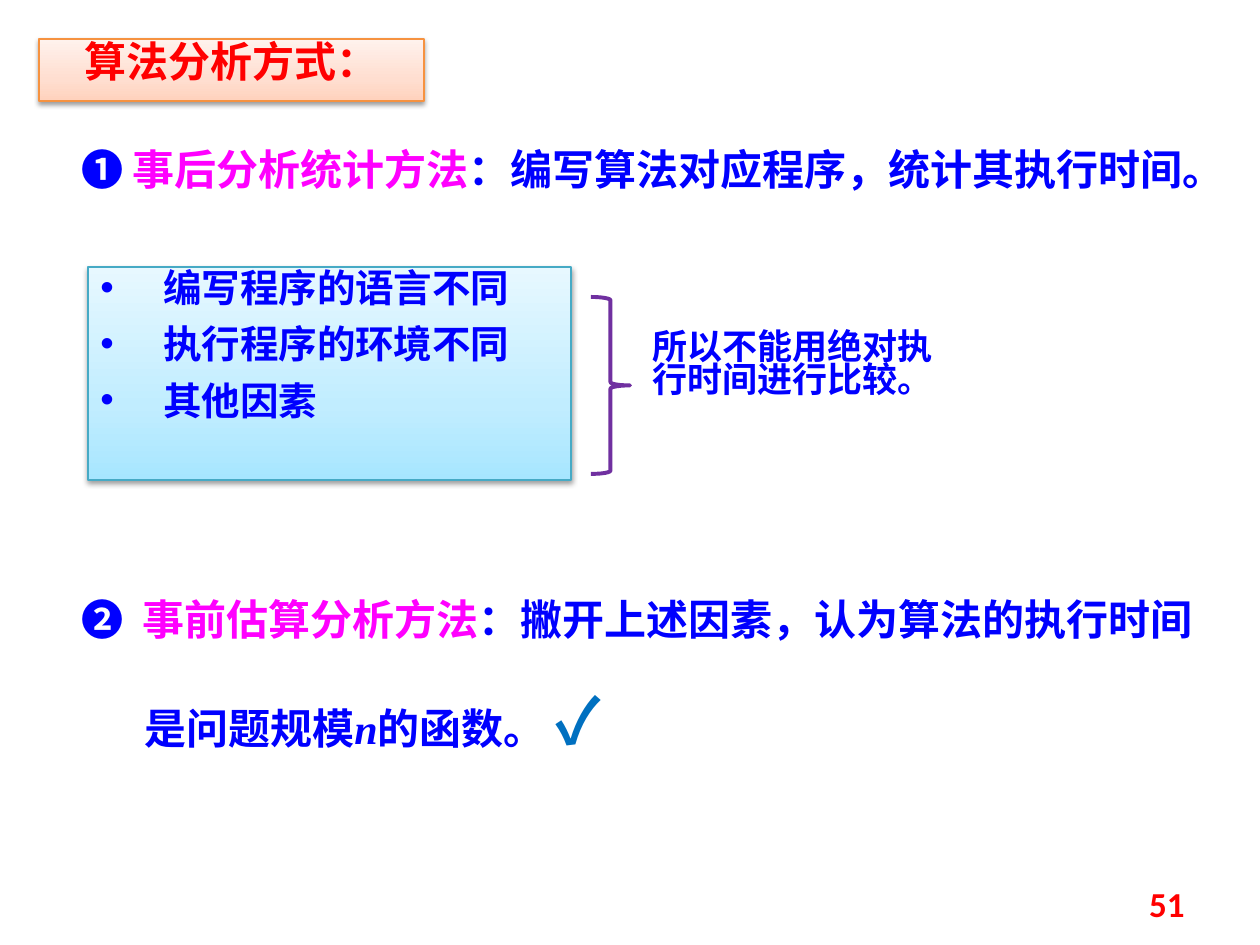
import lxml.etree
import pptx
import pptx.dml.color
import pptx.enum.shapes
import pptx.enum.text
import pptx.oxml
import pptx.oxml.ns
import pptx.util

PX = 914400 / 126
COLORS = {"red": "FF0000", "blue": "0000FF", "magenta": "FF00FF", "check": "0070C0",
          "brace": "7030A0", "orange line": "F69240", "cyan line": "46AAC5", "shadow": "000000"}
ORANGE_STOPS = ((0, "FFD2BD"), (35, "FFDED0"), (100, "FFF2ED"))
CYAN_STOPS = ((0, "A7E6FF"), (35, "C1EDFF"), (100, "E7F8FF"))
CJK = "Noto Sans CJK SC"
SERIF = "Times New Roman"
SANS = "Calibri"
ALIGN = pptx.enum.text.PP_ALIGN
SHAPE = pptx.enum.shapes.MSO_SHAPE
qn = pptx.oxml.ns.qn


def box(*lengths):
    return [pptx.util.Emu(round(v * PX)) for v in lengths]


def rgb(name):
    return pptx.dml.color.RGBColor.from_string(COLORS[name])


def add_run(p, text, size, color, font=SERIF, italic=False, bold=True):
    r = p.add_run()
    r.text = text
    r.font.size = pptx.util.Pt(size)
    r.font.bold = bold
    r.font.italic = italic
    r.font.name = font
    r.font.color.rgb = rgb(color)
    ea = lxml.etree.Element(qn("a:ea"), typeface=CJK)
    r.font._element.find(qn("a:latin")).addnext(ea)


def indent(p, bullet=None):
    """Hang the first line by half an inch, with an optional bullet."""
    pPr = p._p.get_or_add_pPr()
    hang = pptx.util.Inches(0.5)
    pPr.set("marL", str(hang))
    pPr.set("indent", str(-hang))
    if bullet:
        lxml.etree.SubElement(pPr, qn("a:buFont"), typeface="Arial")
        lxml.etree.SubElement(pPr, qn("a:buChar"), char=bullet)


def add_text(s, place, runs, spacing=0.8, align=ALIGN.LEFT):
    """Add a text box with one paragraph and return the paragraph."""
    tf = s.shapes.add_textbox(*box(*place)).text_frame
    tf.word_wrap = True
    p = tf.paragraphs[0]
    p.line_spacing = spacing
    p.alignment = align
    for run in runs:
        add_run(p, *run)
    return p


def add_panel(s, place, stops, line):
    """Add a rectangle with an upward gradient and a soft shadow; return its text frame."""
    sp = s.shapes.add_shape(SHAPE.RECTANGLE, *box(*place))
    sp.shadow.inherit = False
    sp.fill.gradient()
    sp.fill.gradient_angle = 90
    stop_list = sp._element.spPr.find(".//" + qn("a:gsLst"))
    stop_list.clear()
    for position, color in stops:
        gs = lxml.etree.SubElement(stop_list, qn("a:gs"), pos=str(position * 1000))
        lxml.etree.SubElement(gs, qn("a:srgbClr"), val=color)
    sp.line.color.rgb = rgb(line)
    sp.line.width = pptx.util.Pt(0.75)
    effects = sp._element.spPr.find(qn("a:effectLst"))
    shadow = lxml.etree.SubElement(
        effects, qn("a:outerShdw"), blurRad=str(pptx.util.Pt(3.1)),
        dist=str(pptx.util.Pt(1.6)), dir="5400000", rotWithShape="0")
    clr = lxml.etree.SubElement(shadow, qn("a:srgbClr"), val=COLORS["shadow"])
    lxml.etree.SubElement(clr, qn("a:alpha"), val="38000")
    tf = sp.text_frame
    tf.word_wrap = True
    tf.vertical_anchor = pptx.enum.text.MSO_ANCHOR.TOP
    return tf


def add_title(s):
    p = add_panel(s, (39, 39, 385, 62), ORANGE_STOPS, "orange line").paragraphs[0]
    p.alignment = ALIGN.CENTER
    p.line_spacing = 0.8
    add_run(p, "算法分析方式：", 24, "red", CJK)


def add_factors(s, factors):
    tf = add_panel(s, (88, 267, 483, 213), CYAN_STOPS, "cyan line")
    for i, factor in enumerate(factors):
        p = tf.add_paragraph() if i else tf.paragraphs[0]
        indent(p, "•")
        p.alignment = ALIGN.JUSTIFY
        p.line_spacing = 0.8
        if i:
            p.space_before = pptx.util.Pt(11)
        add_run(p, factor, 22, "blue", SANS)


def add_brace(s):
    sp = s.shapes.add_shape(SHAPE.RIGHT_BRACE, *box(591, 297, 39, 177))
    sp.shadow.inherit = False
    sp.fill.background()
    sp.line.color.rgb = rgb("brace")
    sp.line.width = pptx.util.Pt(2.25)


def main():
    prs = pptx.Presentation()
    prs.slide_width, prs.slide_height = box(1260, 945)
    s = prs.slides.add_slide(prs.slide_layouts[6])
    add_title(s)
    add_text(s, (69, 147, 1162, 69), [
        ("❶ ", 24, "blue"),
        ("事后分析统计方法", 24, "magenta"),
        ("：编写算法对应程序，统计其执行时间。", 24, "blue")])
    add_factors(s, ["编写程序的语言不同", "执行程序的环境不同", "其他因素"])
    estimate = add_text(s, (69, 562, 1152, 190), [
        ("❷  ", 24, "blue"),
        ("事前估算分析方法", 24, "magenta"),
        ("：撇开上述因素，认为算法的执行时间是问题规模", 24, "blue"),
        ("n", 24, "blue", SERIF, True),
        ("的函数。 ", 24, "blue"),
        ("✓", 36, "check")], spacing=1.5)
    indent(estimate)
    add_text(s, (640, 326, 335, 106), [("所以不能用绝对执行时间进行比较。", 20, "blue")])
    add_brace(s)
    add_text(s, (903, 876, 294, 50), [("51", 20, "red", SANS)], 1.0, ALIGN.RIGHT)
    prs.save("out.pptx")


if __name__ == "__main__":
    main()
